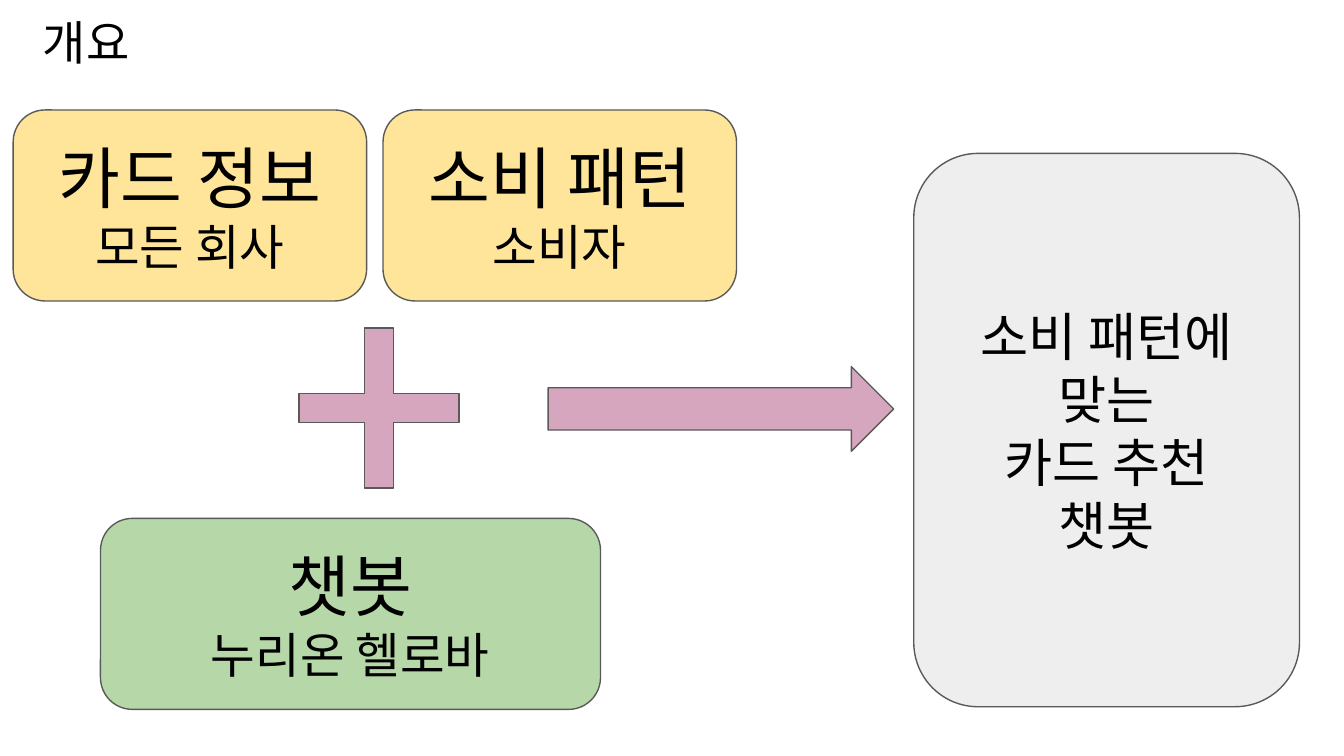
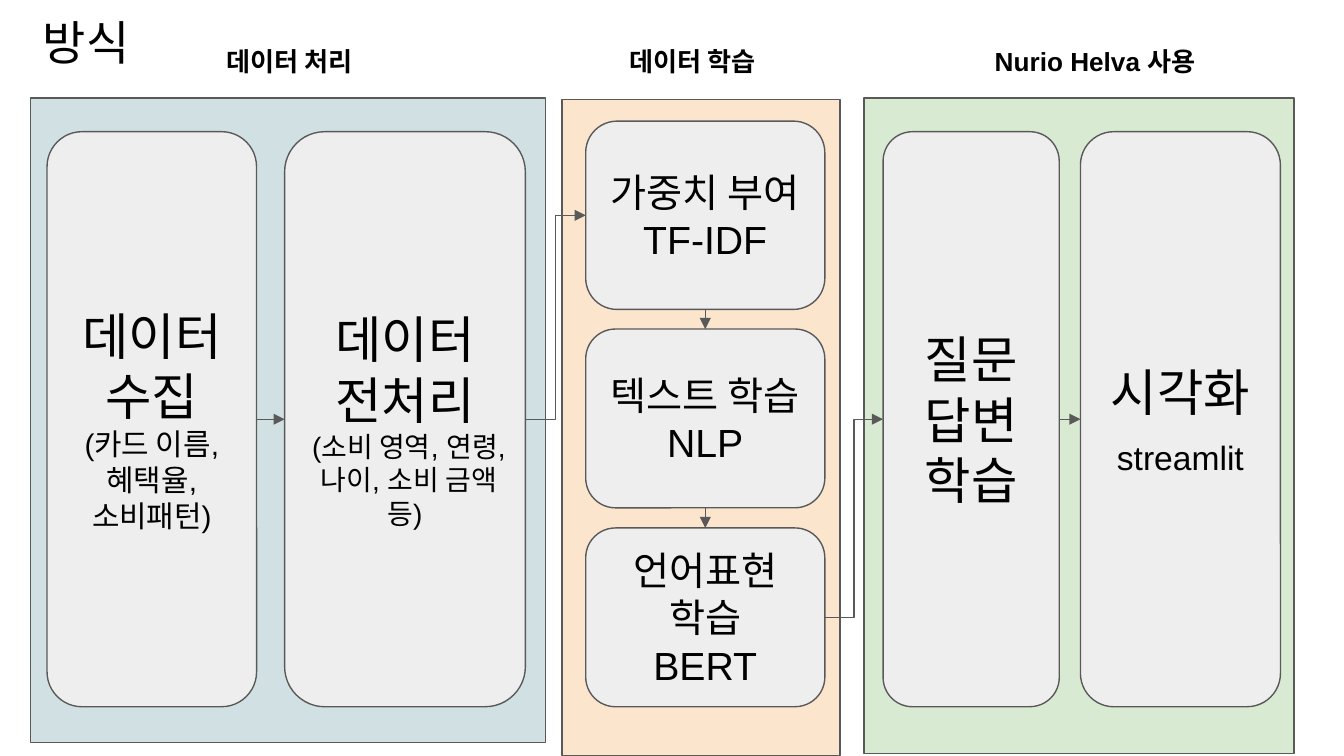
import pptx
import pptx.dml.color
import pptx.enum.shapes
import pptx.enum.text
import pptx.oxml.ns
import pptx.util
from lxml import etree

Cm = pptx.util.Cm
Pt = pptx.util.Pt
SHAPE = pptx.enum.shapes.MSO_SHAPE
CONNECTOR = pptx.enum.shapes.MSO_CONNECTOR
ALIGN = pptx.enum.text.PP_ALIGN
ANCHOR = pptx.enum.text.MSO_ANCHOR
qn = pptx.oxml.ns.qn

FONT = "Arial"
INK, OUTLINE, WHITE = "000000", "595959", "FFFFFF"
GRAY, YELLOW, GREEN, PINK = "EEEEEE", "FFE599", "B6D7A8", "D5A6BD"
PALE_BLUE, PALE_ORANGE, PALE_GREEN = "D0E0E3", "FCE5CD", "D9EAD3"
TOP, LEFT, BOTTOM, RIGHT = range(4)


def color(value):
    """Turn a hex string into a colour."""
    return pptx.dml.color.RGBColor.from_string(value)


def write(box, lines, anchor=ANCHOR.MIDDLE, align=ALIGN.CENTER, bold=False):
    """Fill a box with (text, size) paragraphs and return its text frame."""
    frame = box.text_frame
    frame.word_wrap = True
    frame.vertical_anchor = anchor
    frame.margin_left = frame.margin_right = Cm(0.25)
    frame.margin_top = frame.margin_bottom = Cm(0.25)
    for index, (text, size) in enumerate(lines):
        para = frame.paragraphs[0] if index == 0 else frame.add_paragraph()
        para.text = text
        para.alignment = align
        para.font.name = FONT
        para.font.size = Pt(size)
        para.font.bold = bold
        para.font.color.rgb = color(INK)
    return frame


def add_title(page, text):
    """Place the slide title at the top left."""
    box = page.shapes.add_textbox(Cm(0.56), Cm(0), Cm(23.67), Cm(1.6))
    write(box, [(text, 25.2)], ANCHOR.TOP, ALIGN.LEFT)


def add_block(page, kind, place, fill, line=OUTLINE):
    """Draw a flat preset shape at (left, top, width, height) in centimetres."""
    block = page.shapes.add_shape(kind, *map(Cm, place))
    block.shadow.inherit = False
    block.fill.solid()
    block.fill.fore_color.rgb = color(fill)
    if line:
        block.line.color.rgb = color(line)
        block.line.width = Pt(0.75)
    else:
        block.line.fill.background()
    return block


def add_card(page, place, fill, *lines):
    """Draw a rounded card with centred lines of text."""
    card = add_block(page, SHAPE.ROUNDED_RECTANGLE, place, fill)
    write(card, lines)
    return card


def add_heading(page, left, width, text):
    """Place a bold heading above a band."""
    box = add_block(page, SHAPE.RECTANGLE, (left, 0.61, width, 1.12), WHITE, None)
    write(box, [(text, 14)], ANCHOR.TOP, bold=True)


def link(page, start, end, sides=(RIGHT, LEFT), kind=CONNECTOR.STRAIGHT):
    """Join the sides of two cards with an arrow."""
    arrow = page.shapes.add_connector(kind, start.left, start.top, end.left, end.top)
    arrow.begin_connect(start, sides[0])
    arrow.end_connect(end, sides[1])
    arrow.line.color.rgb = color(OUTLINE)
    arrow.line.width = Pt(0.75)
    properties = arrow._element.spPr
    etree.SubElement(properties.find(qn("a:ln")), qn("a:tailEnd"), type="triangle")
    etree.SubElement(properties, qn("a:effectLst"))


def build_overview(page):
    """Show the inputs that lead to the card chatbot."""
    add_title(page, "개요")
    sources = [("카드 정보", "모든 회사"), ("소비 패턴", "소비자")]
    for index, (name, owner) in enumerate(sources):
        place = (0.25 + 6.99 * index, 2.08, 6.68, 3.61)
        add_card(page, place, YELLOW, (name, 36), (owner, 26))
    add_card(page, (1.9, 9.8, 9.45, 3.61), GREEN, ("챗봇", 36), ("누리온 헬로바", 26))
    plus = add_block(page, SHAPE.MATH_PLUS, (5.11, 5.66, 4.11, 4.11), PINK)
    plus.adjustments[0] = 0.134
    add_block(page, SHAPE.RIGHT_ARROW, (10.36, 6.93, 6.53, 1.6), PINK)
    add_card(page, (17.27, 2.9, 7.29, 10.46), GRAY,
             ("소비 패턴에 맞는", 28), ("카드 추천", 28), ("챗봇", 28))


def build_method(page):
    """Show the three stages and the steps inside them."""
    bands = [
        ((16.33, 1.85, 8.13, 12.4), PALE_GREEN),
        ((10.62, 1.88, 5.26, 12.4), PALE_ORANGE),
        ((0.58, 1.85, 9.73, 12.19), PALE_BLUE),
    ]
    for place, fill in bands:
        add_block(page, SHAPE.RECTANGLE, place, fill)
    add_title(page, "방식")

    columns = [
        (0.89, 3.96, ("데이터 수집", 27), ("(카드 이름, 혜택율, 소비패턴)", 16)),
        (5.38, 4.55, ("데이터 전처리", 27), ("(소비 영역, 연령, 나이, 소비 금액 등)", 15)),
        (16.69, 3.33, ("질문", 27), ("답변 학습", 27)),
        (20.42, 3.78, ("시각화", 27), ("streamlit", 18)),
    ]
    collect, prepare, answer, display = [
        add_card(page, (left, 2.49, width, 10.87), GRAY, *lines)
        for left, width, *lines in columns
    ]
    display.text_frame.paragraphs[1].space_before = Pt(8)

    models = [
        (2.29, 3.56, "가중치 부여", "TF-IDF"),
        (6.22, 3.38, "텍스트 학습", "NLP"),
        (9.98, 3.38, "언어표현 학습", "BERT"),
    ]
    weight, learn, express = [
        add_card(page, (11.07, top, 4.52, height), GRAY, (task, 21), (method, 21))
        for top, height, task, method in models
    ]

    add_heading(page, 3.35, 4.24, "데이터 처리")
    add_heading(page, 10.97, 4.24, "데이터 학습")
    add_heading(page, 18.26, 4.88, "Nurio Helva 사용")

    link(page, collect, prepare)
    link(page, prepare, weight, kind=CONNECTOR.ELBOW)
    link(page, answer, display)
    link(page, weight, learn, (BOTTOM, TOP))
    link(page, learn, express, (BOTTOM, TOP))
    link(page, express, answer, kind=CONNECTOR.ELBOW)


def main():
    """Build both slides and save the deck."""
    deck = pptx.Presentation()
    deck.slide_width, deck.slide_height = Cm(25.4), Cm(14.29)
    for build in (build_overview, build_method):
        build(deck.slides.add_slide(deck.slide_layouts[6]))
    deck.save("out.pptx")


if __name__ == "__main__":
    main()
